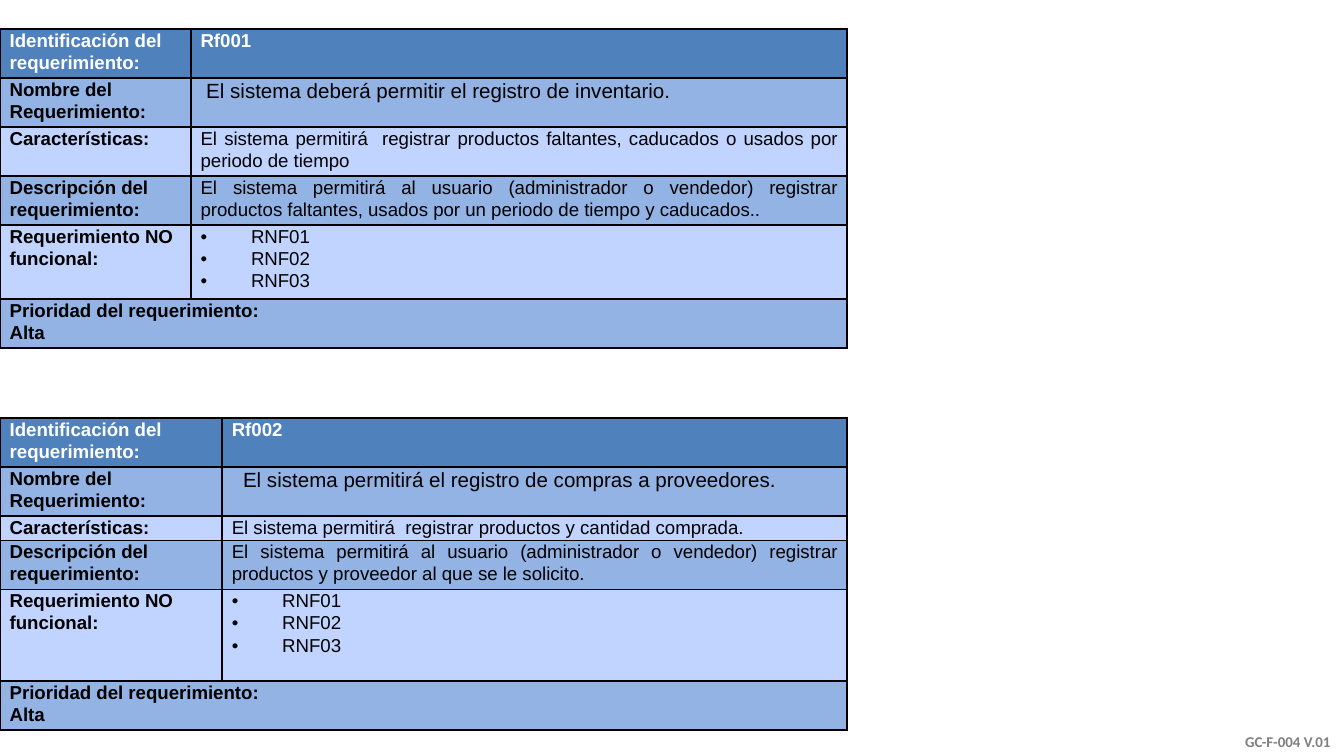
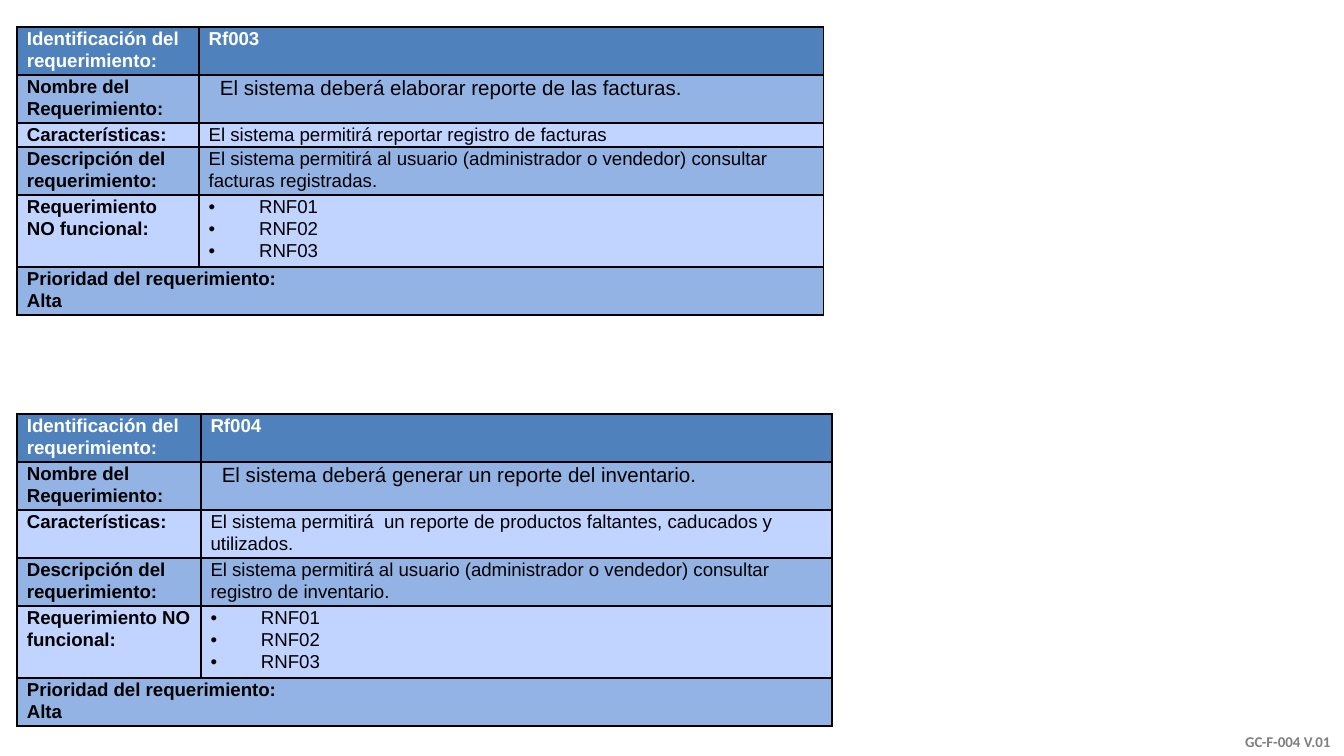
from dataclasses import dataclass

from lxml.etree import SubElement as Sub
from pptx import Presentation as Deck
from pptx.dml.color import RGBColor as Rgb
from pptx.enum.text import MSO_ANCHOR as Anchor, PP_ALIGN as Align
from pptx.oxml import parse_xml
from pptx.oxml.ns import nsdecls, qn
from pptx.util import Pt


@dataclass(frozen=True)
class Theme:
    head: str = "4F81BD"
    band: str = "93B3E5"
    pale: str = "C0D4FF"
    ink: str = "000000"
    white: str = "FFFFFF"
    grey: str = "7F7F7F"
    font: str = "Arial"
    foot_font: str = "Calibri"
    body: float = 10
    name: float = 11
    foot: float = 8
    lead: float = 1.07
    inset: float = 5.2
    hang: float = 27
    edge: float = 1


THEME = Theme()
LABELS = (
    "Identificación del requerimiento:",
    "Nombre del Requerimiento:",
    "Características:",
    "Descripción del requerimiento:",
    "Requerimiento NO funcional:",
)
FILLS = (THEME.head, THEME.band, THEME.pale, THEME.band, THEME.pale, THEME.band)
RULES = "RNF01\nRNF02\nRNF03"
RANK = "Prioridad del requerimiento:\nAlta"
NAME_ROW, RULE_ROW, RANK_ROW = 1, 4, 5


@dataclass(frozen=True)
class Card:
    left: float
    top: float
    cols: tuple
    lines: tuple
    unit: float
    align: Align
    shift: float
    texts: tuple


CARDS = (
    (
        Card(0, 15.6, (102.3, 351.4), (2, 2, 2, 2, 3.02, 2), 13.12, Align.JUSTIFY, 3, (
            "Rf001",
            "El sistema deberá permitir el registro de inventario.",
            "El sistema permitirá  registrar productos faltantes, caducados "
            "o usados por periodo de tiempo",
            "El sistema permitirá al usuario (administrador o vendedor) registrar "
            "productos faltantes, usados por un periodo de tiempo y caducados..",
        )),
        Card(0, 224, (119, 334.7), (2, 2, 1, 2, 3.75, 2), 13.12, Align.JUSTIFY, 6, (
            "Rf002",
            "El sistema permitirá el registro de compras a proveedores.",
            "El sistema permitirá  registrar productos y cantidad comprada.",
            "El sistema permitirá al usuario (administrador o vendedor) registrar "
            "productos y proveedor al que se le solicito.",
        )),
    ),
    (
        Card(9.2, 14.4, (97.4, 334.6), (2, 2, 1, 2, 3, 2), 12.86, Align.LEFT, 6, (
            "Rf003",
            "El sistema deberá elaborar reporte de las facturas.",
            "El sistema permitirá reportar registro de facturas",
            "El sistema permitirá al usuario (administrador o vendedor) "
            "consultar facturas registradas.",
        )),
        Card(9.2, 221.8, (98.4, 338.2), (2, 2, 2, 2, 3, 2), 12.86, Align.LEFT, 6, (
            "Rf004",
            "El sistema deberá generar un reporte del inventario.",
            "El sistema permitirá  un reporte de productos faltantes, "
            "caducados y utilizados.",
            "El sistema permitirá al usuario (administrador o vendedor) "
            "consultar registro de inventario.",
        )),
    ),
)


def style(par, size, color, bold, font=THEME.font):
    for run in par.runs:
        run.font.name = font
        run.font.size = Pt(size)
        run.font.bold = bold
        run.font.color.rgb = Rgb.from_string(color)


def indent(par, left, first=0):
    props = par._p.get_or_add_pPr()
    props.set("marL", str(Pt(left)))
    props.set("indent", str(Pt(first)))
    return props


def bullet(par):
    props = indent(par, THEME.hang, -THEME.hang)
    Sub(Sub(props, qn("a:buClr")), qn("a:srgbClr")).set("val", THEME.ink)
    Sub(props, qn("a:buFont")).set("typeface", THEME.font)
    Sub(props, qn("a:buChar")).set("char", "•")


def border(cell):
    props = cell._tc.get_or_add_tcPr()
    for spot, side in enumerate("LRTB"):
        props.insert(spot, parse_xml(
            f'<a:ln{side} {nsdecls("a")} w="{Pt(THEME.edge)}"><a:solidFill>'
            f'<a:srgbClr val="{THEME.ink}"/></a:solidFill></a:ln{side}>'))


def paint(cell, fill):
    cell.fill.solid()
    cell.fill.fore_color.rgb = Rgb.from_string(fill)
    cell.margin_left = cell.margin_right = Pt(THEME.inset)
    cell.margin_top = cell.margin_bottom = 0
    border(cell)


def write(cell, text, size, color, bold, align=Align.LEFT):
    cell.text_frame.text = text
    for par in cell.text_frame.paragraphs:
        par.alignment = align
        par.line_spacing = THEME.lead
        style(par, size, color, bold)


def add_card(slide, card):
    high = [count * card.unit for count in card.lines]
    grid = slide.shapes.add_table(
        len(high), len(card.cols), Pt(card.left), Pt(card.top),
        Pt(sum(card.cols)), Pt(sum(high))).table
    for col, width in zip(grid.columns, card.cols):
        col.width = Pt(width)
    for row, height, fill in zip(grid.rows, high, FILLS):
        row.height = Pt(height)
        for cell in row.cells:
            paint(cell, fill)

    for row, (label, text) in enumerate(zip(LABELS, card.texts + (RULES,))):
        top = row == 0
        color = THEME.white if top else THEME.ink
        size = THEME.name if row == NAME_ROW else THEME.body
        write(grid.cell(row, 0), label, THEME.body, color, True)
        write(grid.cell(row, 1), text, size, color, top, card.align)

    indent(grid.cell(NAME_ROW, 1).text_frame.paragraphs[0], card.shift)
    for par in grid.cell(RULE_ROW, 1).text_frame.paragraphs:
        bullet(par)
    rank = grid.cell(RANK_ROW, 0)
    rank.merge(grid.cell(RANK_ROW, 1))
    write(rank, RANK, THEME.body, THEME.ink, True)


def add_foot(slide):
    frame = slide.shapes.add_textbox(Pt(602.6), Pt(374.4), Pt(117.4), Pt(31)).text_frame
    frame.word_wrap = True
    frame.vertical_anchor = Anchor.BOTTOM
    frame.text = "GC-F-004 V.01"
    par = frame.paragraphs[0]
    par.alignment = Align.RIGHT
    style(par, THEME.foot, THEME.grey, True, THEME.foot_font)


def main():
    deck = Deck()
    deck.slide_width, deck.slide_height = Pt(720), Pt(405)
    for pair in CARDS:
        slide = deck.slides.add_slide(deck.slide_layouts[6])
        add_foot(slide)
        for card in pair:
            add_card(slide, card)
    deck.save("out.pptx")


if __name__ == "__main__":
    main()
